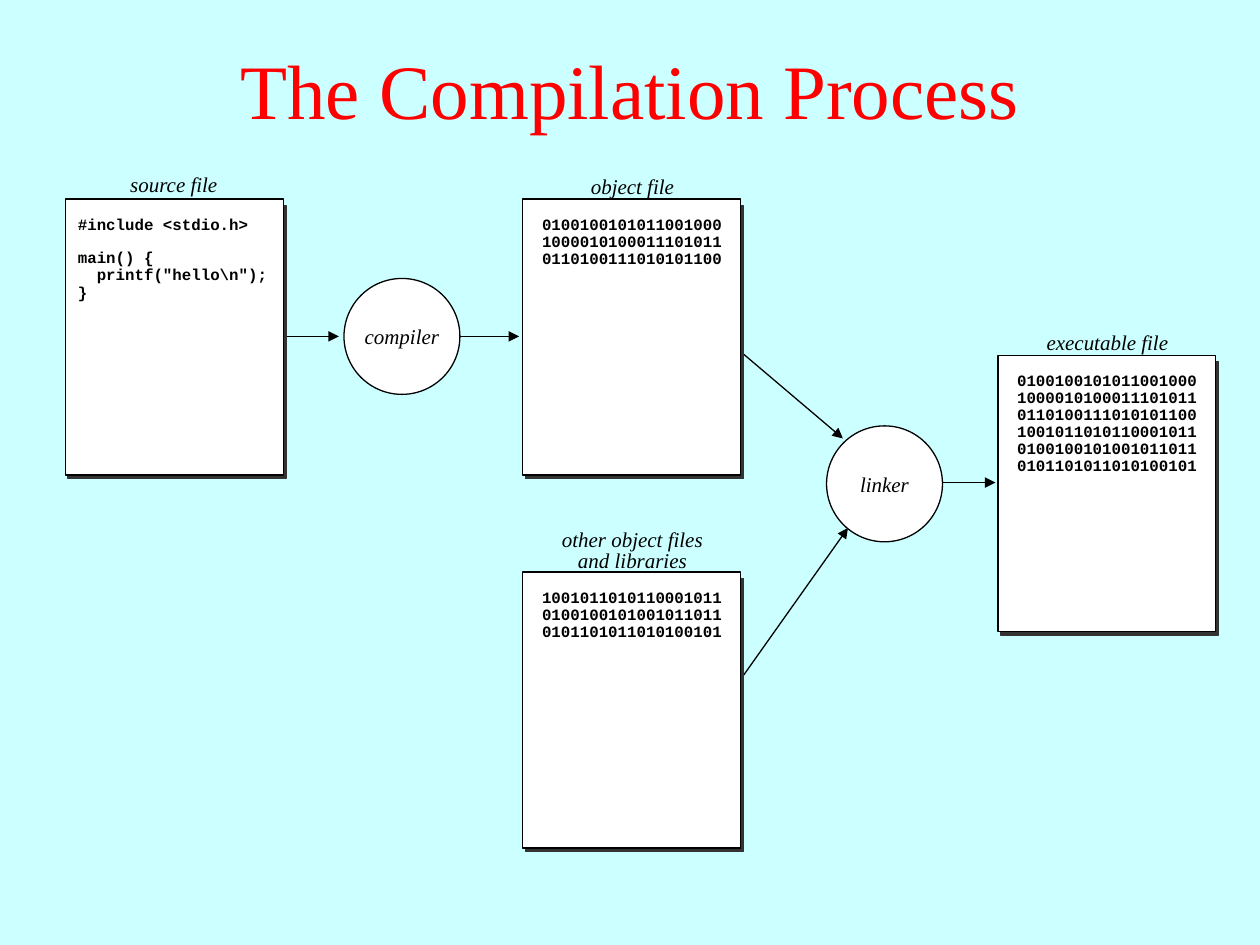
from lxml.etree import SubElement
from pptx import Presentation
from pptx.dml.color import RGBColor
from pptx.enum.shapes import MSO_CONNECTOR as CONN, MSO_SHAPE as SHAPE
from pptx.enum.text import MSO_ANCHOR as ANCHOR, MSO_AUTO_SIZE as AUTO, PP_ALIGN as ALIGN
from pptx.oxml.ns import qn
from pptx.util import Inches, Pt

COLORS = {"bg": "CCFFFF", "title": "FF0000", "ink": "000000",
          "paper": "FFFFFF", "shadow": "333333"}
SERIF, MONO = "Times New Roman", "Courier New"
FILE_W, FILE_H = 1.73, 2.19
CIRCLE = 0.92


def rgb(name):
    return RGBColor.from_string(COLORS[name])


class Diagram:
    def __init__(self, prs):
        self.s = prs.slides.add_slide(prs.slide_layouts[6])
        fill = self.s.background.fill
        fill.solid()
        fill.fore_color.rgb = rgb("bg")

    def add_lines(self, tf, lines, size, font=SERIF, color="ink", bold=False,
                  italic=False, align=ALIGN.CENTER, spacing=None):
        p, gap = tf.paragraphs[0], None
        for i, line in enumerate(lines):
            if not line:
                gap = Pt(9.5)
                continue
            if i:
                p = tf.add_paragraph()
            p.alignment = align
            p.line_spacing = spacing
            p.space_before, gap = gap, None
            r = p.add_run()
            r.text = line
            f = r.font
            f.name, f.size, f.bold, f.italic = font, Pt(size), bold, italic
            f.color.rgb = rgb(color)

    def text(self, x, y, w, h, lines, size, grow=True, **style):
        tf = self.s.shapes.add_textbox(Inches(x), Inches(y), Inches(w), Inches(h)).text_frame
        tf.word_wrap = True
        if grow:
            tf.auto_size = AUTO.SHAPE_TO_FIT_TEXT
        else:
            tf.vertical_anchor = ANCHOR.MIDDLE
        self.add_lines(tf, lines, size, **style)

    def shape(self, kind, x, y, w, h, fill="paper", line="ink"):
        sp = self.s.shapes.add_shape(kind, Inches(x), Inches(y), Inches(w), Inches(h))
        sp.shadow.inherit = False
        sp.fill.solid()
        sp.fill.fore_color.rgb = rgb(fill)
        sp.line.color.rgb = rgb(line)
        sp.line.width = Pt(0.75)
        return sp

    def sheet(self, x, y, content, align=ALIGN.CENTER):
        self.shape(SHAPE.RECTANGLE, x + 0.02, y + 0.05, FILE_W, FILE_H - 0.02,
                   "shadow", "shadow")
        self.shape(SHAPE.RECTANGLE, x, y, FILE_W, FILE_H)
        self.text(x, y + 0.09, FILE_W, 0.1 + 0.14 * len(content), content, 9,
                  font=MONO, bold=True, align=align, spacing=0.9)

    def label(self, x, y, lines, h=0.3, spacing=None):
        self.text(x, y, 1.6, h, lines, 12, italic=True, spacing=spacing)

    def step(self, x, y, name):
        tf = self.shape(SHAPE.OVAL, x, y, CIRCLE, CIRCLE).text_frame
        tf.word_wrap = False
        tf.vertical_anchor = ANCHOR.MIDDLE
        self.add_lines(tf, [name], 12, italic=True)

    def arrow(self, *ends):
        c = self.s.shapes.add_connector(CONN.STRAIGHT, *map(Inches, ends))
        c.line.color.rgb = rgb("ink")
        c.line.width = Pt(0.75)
        ln = c._element.spPr.find(qn("a:ln"))
        SubElement(ln, qn("a:tailEnd"), type="triangle")
        SubElement(c._element.spPr, qn("a:effectLst"))


def main():
    prs = Presentation()
    prs.slide_width, prs.slide_height = Inches(10), Inches(7.5)
    d = Diagram(prs)

    for ends in [(5.83, 5.46, 6.73, 4.19), (5.83, 2.75, 6.69, 3.48),
                 (2.21, 2.67, 2.69, 2.67), (3.58, 2.67, 4.12, 2.67),
                 (7.42, 3.83, 7.9, 3.83)]:
        d.arrow(*ends)

    d.text(0, 0.08, 10, 1.25, ["The Compilation Process"], 44, grow=False, color="title")

    source = ["#include <stdio.h>", "", "main() {", '  printf("hello\\n");', "}"]
    compiled = ["0100100101011001000", "1000010100011101011", "0110100111010101100"]
    library = ["1001011010110001011", "0100100101001011011", "0101101011010100101"]

    d.sheet(0.52, 1.58, source, ALIGN.LEFT)
    d.sheet(4.15, 1.58, compiled)
    d.sheet(4.15, 4.54, library)
    d.sheet(7.92, 2.82, compiled + library)

    d.label(0.58, 1.31, ["source file"])
    d.label(4.22, 1.33, ["object file"])
    d.label(4.22, 4.16, ["other object files", "and libraries"], 0.44, 0.85)
    d.label(7.99, 2.57, ["executable file"])

    d.step(2.73, 2.21, "compiler")
    d.step(6.56, 3.38, "linker")

    prs.save("out.pptx")


if __name__ == "__main__":
    main()
